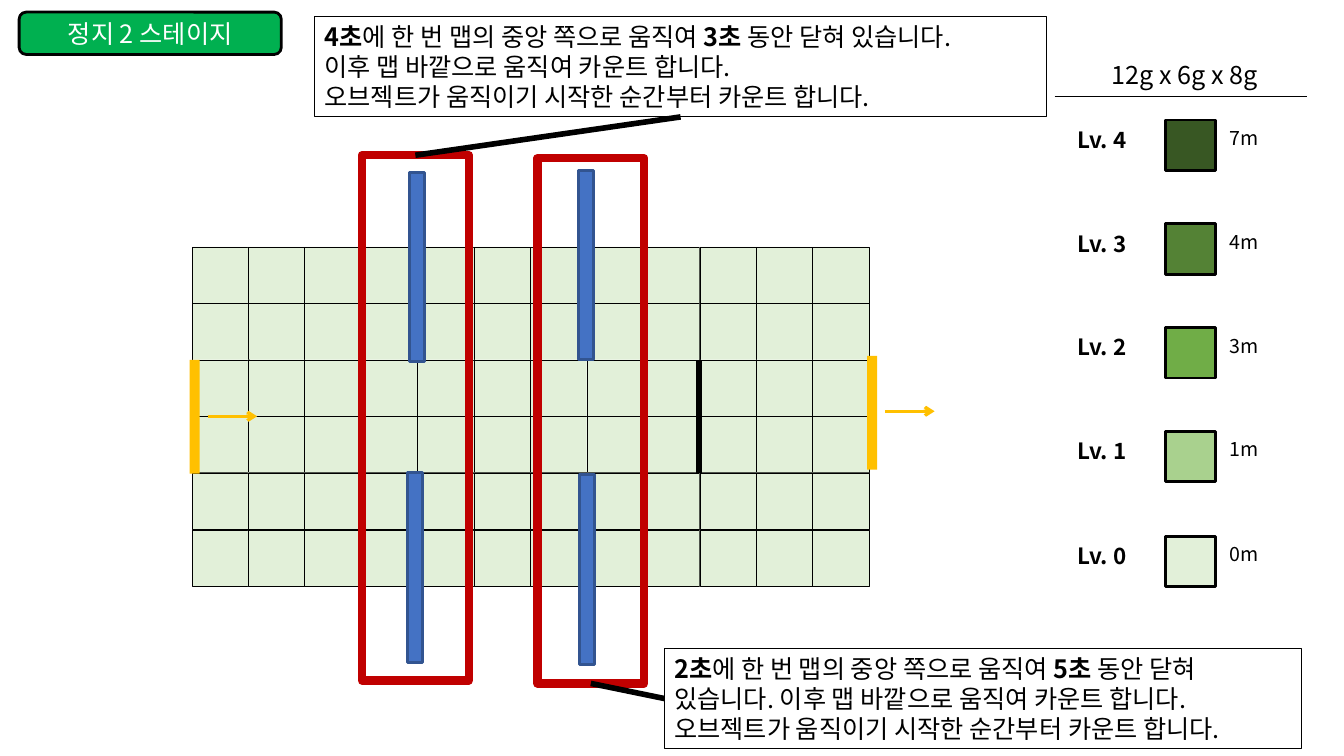
from dataclasses import dataclass
from itertools import product

from lxml.etree import SubElement
from pptx import Presentation
from pptx.dml.color import RGBColor
from pptx.enum.shapes import MSO_CONNECTOR as Link, MSO_SHAPE as Kind
from pptx.enum.text import MSO_ANCHOR as Anchor, PP_ALIGN as Align
from pptx.oxml.ns import qn
from pptx.shapes.autoshape import Shape
from pptx.shapes.connector import Connector
from pptx.util import Pt

PX = 9144
FONT = "Noto Sans CJK KR"
BLACK = "000000"
GOLD = "FFC000"
PALE = "E2F0D9"


@dataclass
class Box:
    x: int
    y: int
    w: int
    h: int


@dataclass
class Level:
    name: str
    depth: str
    fill: str


@dataclass
class Gate:
    bar: Box
    start: int
    mid: int


deck = Presentation()
deck.slide_width = 1333 * PX
deck.slide_height = 750 * PX
slide = deck.slides.add_slide(deck.slide_layouts[6])
shapes = slide.shapes


def color(code: str) -> RGBColor:
    return RGBColor.from_string(code)


def scale(box: Box) -> tuple[int, int, int, int]:
    return box.x * PX, box.y * PX, box.w * PX, box.h * PX


def draw(box: Box, fill: str = "", line: str = "", width: float = 1,
         kind: Kind = Kind.RECTANGLE) -> Shape:
    shape = shapes.add_shape(kind, *scale(box))
    shape.shadow.inherit = False
    if fill:
        shape.fill.solid()
        shape.fill.fore_color.rgb = color(fill)
    else:
        shape.fill.background()
    if line:
        shape.line.color.rgb = color(line)
        shape.line.width = Pt(width)
    else:
        shape.line.fill.background()
    return shape


def write(shape: Shape, text: str, size: int = 18, ink: str = BLACK, bold: bool = False,
          align: Align = Align.LEFT, anchor: Anchor = Anchor.TOP) -> None:
    frame = shape.text_frame
    frame.word_wrap = True
    frame.vertical_anchor = anchor
    for row, words in enumerate(text.split("\n")):
        para = frame.add_paragraph() if row else frame.paragraphs[0]
        para.alignment = align
        for part, piece in enumerate(words.split("*")):
            if not piece:
                continue
            run = para.add_run()
            run.text = piece
            font = run.font
            font.size = Pt(size)
            font.bold = bold or part % 2 == 1
            font.color.rgb = color(ink)
            font.name = FONT
            SubElement(run._r.get_or_add_rPr(), qn("a:ea"), typeface=FONT)


def label(box: Box, text: str, size: int, bold: bool = False,
          align: Align = Align.LEFT) -> None:
    write(shapes.add_textbox(*scale(box)), text, size=size, bold=bold, align=align)


def join(x1: int, y1: int, x2: int, y2: int, ink: str = BLACK, width: float = 4,
         arrow: bool = False) -> Connector:
    line = shapes.add_connector(Link.STRAIGHT, x1 * PX, y1 * PX, x2 * PX, y2 * PX)
    line.line.color.rgb = color(ink)
    line.line.width = Pt(width)
    if arrow:
        SubElement(line.line._get_or_add_ln(), qn("a:tailEnd"), type="arrow")
    SubElement(line._element.spPr, qn("a:effectLst"))
    return line


def link(first: Shape, side: int, last: Shape, end: int) -> None:
    line = join(0, 0, 0, 0)
    line.begin_connect(first, side)
    line.end_connect(last, end)


LEVELS = [
    Level("Lv. 4", "7m", "385723"),
    Level("Lv. 3", "4m", "548235"),
    Level("Lv. 2", "3m", "70AD47"),
    Level("Lv. 1", "1m", "A9D18E"),
    Level("Lv. 0", "0m", PALE),
]
GATES = [
    Gate(Box(860, 353, 10, 113), 878, 408),
    Gate(Box(188, 357, 10, 113), 206, 413),
]
BARS = [
    Box(574, 169, 15, 188),
    Box(575, 471, 15, 188),
    Box(404, 469, 15, 188),
    Box(406, 171, 15, 188),
]


def legend() -> None:
    join(1046, 96, 1296, 96, width=1)
    label(Box(1065, 54, 220, 40), "12g x 6g x 8g", 18, align=Align.CENTER)
    for row, level in enumerate(LEVELS):
        top = 119 + 413 * row // 4
        draw(Box(1156, top, 50, 50), level.fill, BLACK, 2)
        label(Box(1210, top + 1, 71, 33), level.depth, 14)
        label(Box(1059, top + 1, 107, 36), level.name, 16, bold=True)


def field() -> None:
    for row, col in product(range(6), range(12)):
        cell = Box(191 + 615 * col // 11, 245 + 281 * row // 5, 56, 56)
        draw(cell, PALE, BLACK, 0.25)
    join(693, 357, 693, 469)
    for gate in GATES:
        draw(gate.bar, GOLD)
        join(gate.start, gate.mid, gate.start + 49, gate.mid, GOLD, 2.25, True)
    for bar in BARS:
        draw(bar, "4472C4", "325490", 2)


def note(box: Box, text: str) -> Shape:
    shape = draw(box, line=BLACK, width=0)
    write(shape, text)
    return shape


def main() -> None:
    legend()
    title = draw(Box(19, 12, 260, 42), "00B050", BLACK, 2, Kind.ROUNDED_RECTANGLE)
    write(title, "정지 2 스테이지", ink="FFFFFF", align=Align.CENTER, anchor=Anchor.MIDDLE)
    field()
    left = draw(Box(359, 154, 106, 521), line="C00000", width=6)
    right = draw(Box(533, 157, 106, 521), line="C00000", width=6)
    upper = note(Box(312, 16, 726, 100),
                 "*4초*에 한 번 맵의 중앙 쪽으로 움직여 *3초* 동안 닫혀 있습니다.\n"
                 "이후 맵 바깥으로 움직여 카운트 합니다.\n"
                 "오브젝트가 움직이기 시작한 순간부터 카운트 합니다.")
    lower = note(Box(659, 643, 632, 100),
                 "*2초*에 한 번 맵의 중앙 쪽으로 움직여 *5초* 동안 닫혀\n"
                 "있습니다. 이후 맵 바깥으로 움직여 카운트 합니다.\n"
                 "오브젝트가 움직이기 시작한 순간부터 카운트 합니다.")
    link(left, 0, upper, 2)
    link(right, 2, lower, 1)
    deck.save("out.pptx")


if __name__ == "__main__":
    main()
